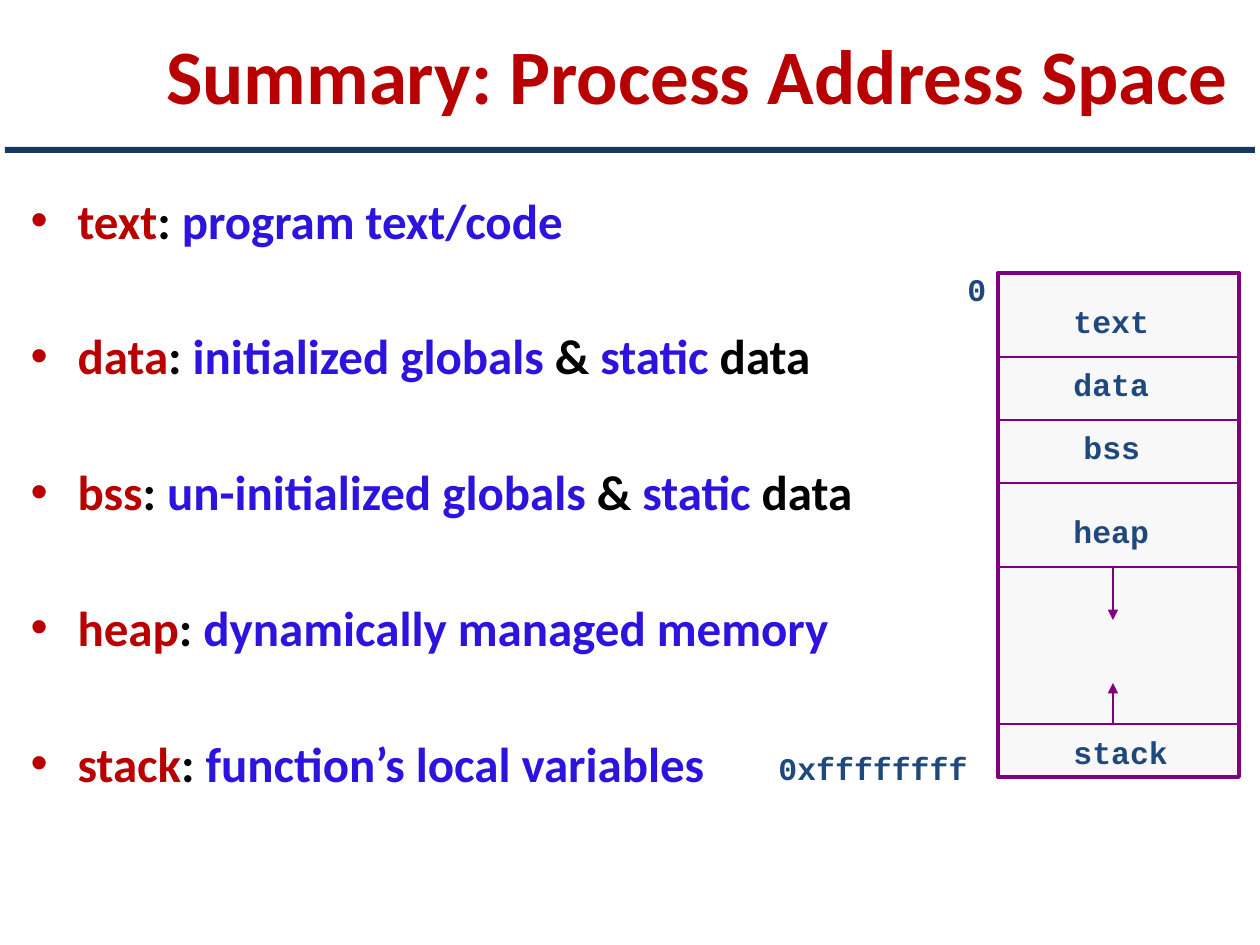
"""Build the process address space summary slide."""
from dataclasses import dataclass

from lxml import etree
from pptx import Presentation
from pptx.dml.color import RGBColor
from pptx.enum.shapes import MSO_CONNECTOR, MSO_SHAPE
from pptx.enum.text import MSO_ANCHOR, MSO_AUTO_SIZE, PP_ALIGN
from pptx.oxml.ns import qn
from pptx.util import Inches, Pt

RECTANGLE = MSO_SHAPE.RECTANGLE
STRAIGHT = MSO_CONNECTOR.STRAIGHT
MIDDLE, TOP = MSO_ANCHOR.MIDDLE, MSO_ANCHOR.TOP
CENTER, LEFT = PP_ALIGN.CENTER, PP_ALIGN.LEFT
FIXED = MSO_AUTO_SIZE.NONE
PX_PER_INCH = 126


@dataclass(frozen=True)
class Theme:
    """Colours, fonts and type sizes of the slide."""

    term: str = "B80000"
    plain: str = "000000"
    key: str = "2C14DE"
    label: str = "1F497D"
    border: str = "800080"
    memory: str = "F8F8F8"
    rule: str = "17375E"
    sans: str = "Calibri"
    mono: str = "Courier New"
    title_size: int = 44
    body_size: int = 28
    label_size: int = 18
    frame_width: float = 2.25
    line_width: float = 0.75


THEME = Theme()

DEFINITIONS = [
    [("text", THEME.term), (": ", THEME.plain), ("program text/code", THEME.key)],
    [("data", THEME.term), (": ", THEME.plain), ("initialized globals", THEME.key),
     (" & ", THEME.plain), ("static ", THEME.key), ("data", THEME.plain)],
    [("bss", THEME.term), (": ", THEME.plain), ("un-initialized globals ", THEME.key),
     ("& ", THEME.plain), ("static ", THEME.key), ("data", THEME.plain)],
    [("heap", THEME.term), (": ", THEME.plain), ("dynamically managed memory", THEME.key)],
    [("stack", THEME.term), (": ", THEME.plain), ("function’s local variables", THEME.key)],
]

MEMORY_LEFT, MEMORY_RIGHT = 998, 1239
MEMORY_TOP, MEMORY_BOTTOM = 273, 777
BSS_END, HEAP_END, STACK_START = 483, 567, 724
DIVIDERS = [357, 420, BSS_END, HEAP_END, STACK_START]
GROWTH_X = 1113
LABEL_HEIGHT = 54
LABELS = [
    ("0xffffffff", 766, 741, 236),
    ("0", 955, 262, 53),
    ("text", 1061, 294, 147),
    ("data", 1061, 357, 147),
    ("bss", 1071, 420, 105),
    ("heap", 1061, 504, 158),
    ("stack", 1061, 725, 168),
]


def px(length):
    """Turn a length in px into EMU."""
    return Inches(length / PX_PER_INCH)


def style_run(run, font, size, color):
    """Give a run its bold typeface, size and colour."""
    run.font.name = font
    run.font.size = Pt(size)
    run.font.bold = True
    run.font.color.rgb = RGBColor.from_string(color)


def place(holder, left, top, width, height):
    """Move and size a placeholder."""
    holder.left, holder.top = px(left), px(top)
    holder.width, holder.height = px(width), px(height)


def fill_title(title, text):
    """Place and format the slide title."""
    place(title, 136, 0, 1124, 147)
    frame = title.text_frame
    frame.text = text
    frame.auto_size = FIXED
    frame.vertical_anchor = MIDDLE
    frame.paragraphs[0].alignment = CENTER
    style_run(frame.paragraphs[0].runs[0], THEME.sans, THEME.title_size, THEME.term)


def add_bullet(paragraph):
    """Give a paragraph a round bullet with a hanging indent."""
    properties = paragraph._p.get_or_add_pPr()
    properties.set("marL", str(px(47)))
    properties.set("indent", str(-px(47)))
    etree.SubElement(properties, qn("a:buChar")).set("char", "•")


def fill_definitions(body, definitions):
    """Write one evenly spaced bullet for each memory segment."""
    place(body, 18, 180, 880, 688)
    frame = body.text_frame
    frame.auto_size = FIXED
    frame.vertical_anchor = TOP
    frame.margin_top = px(10)
    for index, parts in enumerate(definitions):
        paragraph = frame.add_paragraph() if index else frame.paragraphs[0]
        add_bullet(paragraph)
        paragraph.alignment = LEFT
        paragraph.space_before = Pt(44 if index else 0)
        for text, color in parts:
            run = paragraph.add_run()
            run.text = text
            style_run(run, THEME.sans, THEME.body_size, color)


def add_rectangle(slide, left, top, width, height, fill, border=None):
    """Add a filled rectangle, with a border if a colour is given."""
    rectangle = slide.shapes.add_shape(RECTANGLE, px(left), px(top), px(width), px(height))
    rectangle.shadow.inherit = False
    rectangle.fill.solid()
    rectangle.fill.fore_color.rgb = RGBColor.from_string(fill)
    if border:
        rectangle.line.color.rgb = RGBColor.from_string(border)
        rectangle.line.width = Pt(THEME.frame_width)
    else:
        rectangle.line.fill.background()


def add_line(slide, start, end, arrow=False):
    """Add a thin line, with an arrowhead at its end on request."""
    line = slide.shapes.add_connector(STRAIGHT, *map(px, start + end))
    line.line.color.rgb = RGBColor.from_string(THEME.border)
    line.line.width = Pt(THEME.line_width)
    if arrow:
        etree.SubElement(line.line._get_or_add_ln(), qn("a:tailEnd")).set("type", "triangle")
    etree.SubElement(line._element.spPr, qn("a:effectLst"))


def add_label(slide, text, left, top, width):
    """Add a monospaced memory label."""
    label = slide.shapes.add_textbox(px(left), px(top), px(width), px(LABEL_HEIGHT))
    frame = label.text_frame
    frame.text = text
    frame.vertical_anchor = MIDDLE
    style_run(frame.paragraphs[0].runs[0], THEME.mono, THEME.label_size, THEME.label)


def add_memory_map(slide):
    """Draw the segments of the address space with growth arrows."""
    add_rectangle(slide, MEMORY_LEFT, MEMORY_TOP, MEMORY_RIGHT - MEMORY_LEFT,
                  MEMORY_BOTTOM - MEMORY_TOP, THEME.memory, THEME.border)
    for y in DIVIDERS:
        add_line(slide, (MEMORY_LEFT, y), (MEMORY_RIGHT, y))
    add_line(slide, (GROWTH_X, HEAP_END), (GROWTH_X, 620), arrow=True)
    add_line(slide, (GROWTH_X, STACK_START), (GROWTH_X, 683), arrow=True)
    for label in LABELS:
        add_label(slide, *label)


def main():
    """Build and save the slide."""
    presentation = Presentation()
    presentation.slide_width, presentation.slide_height = px(1260), px(945)
    slide = presentation.slides.add_slide(presentation.slide_layouts[1])
    fill_title(slide.shapes.title, "Summary: Process Address Space")
    fill_definitions(slide.placeholders[1], DEFINITIONS)
    add_memory_map(slide)
    add_rectangle(slide, 5, 147, 1250, 6, THEME.rule)
    presentation.save("out.pptx")


if __name__ == "__main__":
    main()
